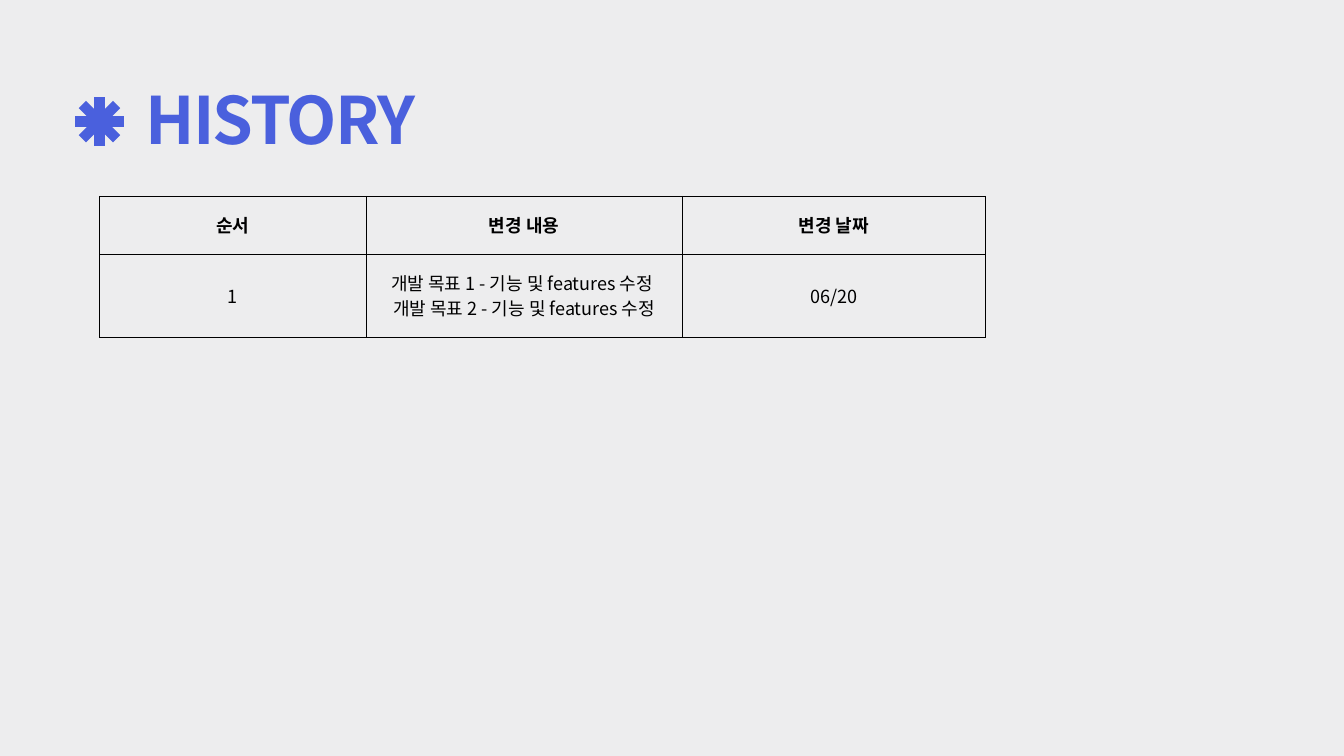
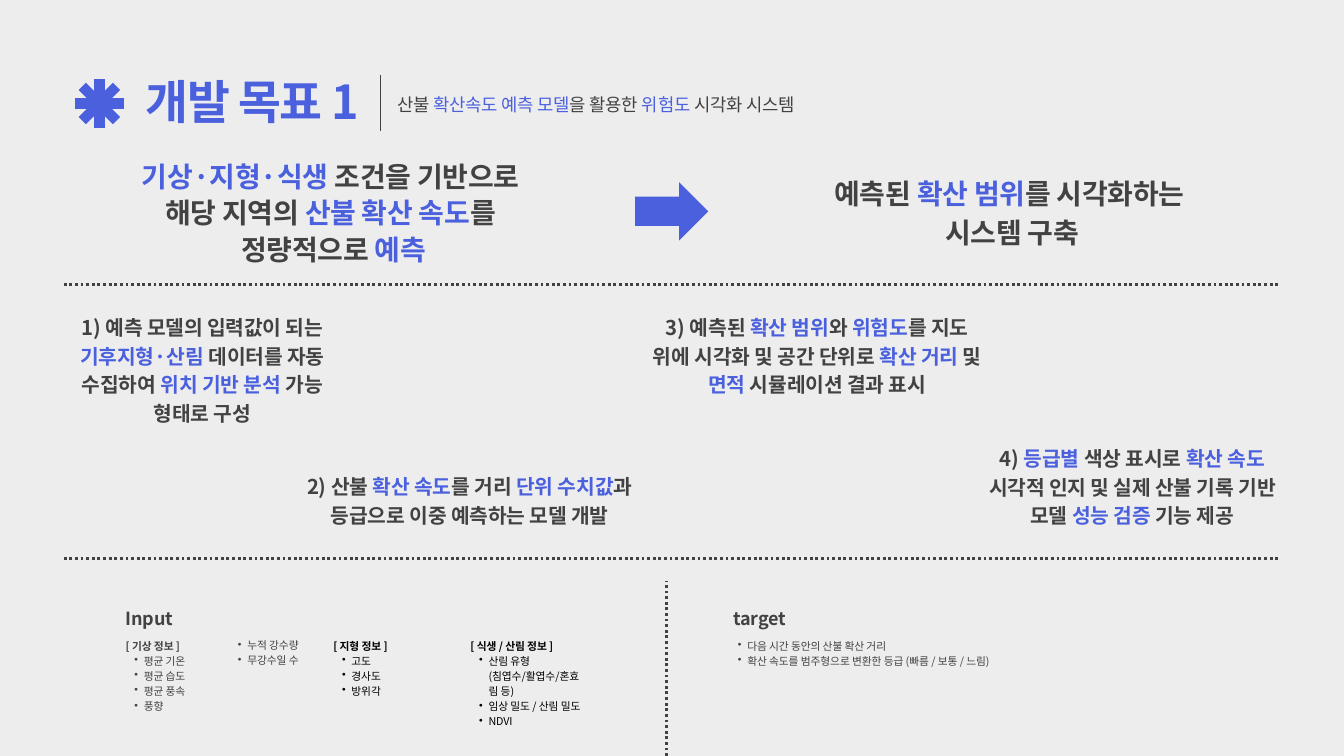
"""Build the history and first development goal slides."""
from dataclasses import dataclass, replace
from math import cos, pi, sin

from lxml.etree import SubElement
from pptx import Presentation
from pptx.dml.color import RGBColor
from pptx.enum.dml import MSO_LINE
from pptx.enum.shapes import MSO_CONNECTOR, MSO_SHAPE
from pptx.enum.text import MSO_ANCHOR, MSO_AUTO_SIZE, PP_ALIGN as Align
from pptx.oxml.ns import qn
from pptx.slide import Slide
from pptx.table import _Cell as Cell
from pptx.text.text import TextFrame, _Paragraph as Paragraph
from pptx.util import Inches, Pt

FONT = "Noto Sans CJK KR"
BLUE = RGBColor(0x4A, 0x60, 0xDD)
GRAY = RGBColor(0x42, 0x42, 0x42)
BLACK = RGBColor(0, 0, 0)
PAPER = RGBColor(0xED, 0xED, 0xEE)

SLIDE_W, SLIDE_H = 20, 11.25
MARGIN = 0.95
LIST_TOP = 9.49


@dataclass(frozen=True)
class Style:
    size: float
    leading: float
    tracking: float = 0
    color: RGBColor = GRAY
    bold: bool = True
    align: Align = Align.CENTER


@dataclass(frozen=True)
class TextBox:
    left: float
    top: float
    width: float
    height: float
    lines: tuple[str, ...]
    style: Style


@dataclass(frozen=True)
class BulletList:
    left: float
    top: float
    width: float
    height: float
    items: tuple[str, ...]
    heading: str = ""
    color: RGBColor = GRAY
    align: Align = Align.LEFT


TITLE_BIG = Style(70, 70, -2.1, BLUE, align=Align.LEFT)
TITLE = Style(50, 50, -1.5, BLUE, align=Align.LEFT)
SUBTITLE = Style(19, 26.6, -0.2, bold=False, align=Align.LEFT)
GOAL = Style(30, 39, -0.3)
RESULT = replace(GOAL, leading=42)
STEP = Style(21.8, 30.6, -0.2)
LABEL = Style(19.3, 25.1, -0.2)
LIST = Style(11.5, 16.1, -0.1, bold=False)
HEADER_CELL = Style(19.3, 27, color=BLACK)
BODY_CELL = replace(HEADER_CELL, bold=False)

HISTORY_COLS = (3.97, 4.7, 4.52)
HISTORY_ROWS = (0.86, 1.24)
HISTORY = (
    (("순서",), ("변경 내용",), ("변경 날짜",)),
    (
        ("1",),
        ("개발 목표 1 - 기능 및 features 수정 ", "개발 목표 2 - 기능 및 features 수정"),
        ("06/20",),
    ),
)

GOAL_TEXTS = (
    TextBox(5.91, 1.35, 8.01, 0.34,
            ("산불 |확산속도 예측 모델|을 활용한| 위험도 |시각화 시스템",), SUBTITLE),
    TextBox(1.57, 2.33, 6.79, 1.61,
            ("|기상·지형·식생| 조건을 기반으로 ",
             "해당 지역의 |산불 확산 속도|를 ",
             "정량적으로 |예측"), GOAL),
    TextBox(11.64, 2.54, 6.85, 1.15,
            ("예측된 |확산 범위|를 시각화하는 ", "시스템 구축"), RESULT),
    TextBox(0.81, 4.63, 4.4, 1.24,
            ("1) 예측 모델의 입력값이 되는 |기후지형·산림| 데이터를 자동 수집하여 "
             "|위치 기반 분석| 가능 형태로 구성",), STEP),
    TextBox(4.44, 7, 5.1, 0.82,
            ("2) 산불 |확산 속도|를 거리 |단위 수치값|과 등급으로 이중 예측하는 "
             "모델 개발",), STEP),
    TextBox(9.67, 4.63, 4.98, 1.24,
            ("3) 예측된 |확산 범위|와 |위험도|를 지도 위에 시각화 및 공간 단위로 "
             "|확산 거리 |및 |면적 |시뮬레이션 결과 표시",), STEP),
    TextBox(14.65, 6.58, 4.4, 1.24,
            ("4) |등급별 |색상 표시로 |확산 속도 |시각적 인지 및 실제 산불 기록 기반 "
             "모델 |성능 검증| 기능 제공",), STEP),
    TextBox(1.77, 9.02, 0.91, 0.34, ("Input",), LABEL),
    TextBox(10.85, 9.02, 0.91, 0.34, ("target",), LABEL),
)

GOAL_LISTS = (
    BulletList(1.87, LIST_TOP, 1.21, 1.98,
               ("평균 기온", "평균 습도", "평균 풍속", "풍향"),
               "[ 기상 정보 ]", align=Align.JUSTIFY),
    BulletList(3.41, LIST_TOP - 0.01, 1.21, 1.1,
               ("누적 강수량", "무강수일 수"), align=Align.JUSTIFY),
    BulletList(4.96, LIST_TOP, 1.39, 0.87,
               ("고도", "경사도", "방위각"), "[ 지형 정보 ]", BLACK),
    BulletList(7, LIST_TOP, 1.72, 1.09,
               ("산림 유형 (침엽수/활엽수/혼효림 등)", "임상 밀도 / 산림 밀도", "NDVI"),
               "[ 식생 / 산림 정보 ]", BLACK),
    BulletList(10.85, LIST_TOP, 4.11, 0.44,
               ("다음 시간 동안의 산불 확산 거리",
                "확산 속도를 범주형으로 변환한 등급 (빠름 / 보통 / 느림)")),
)


def write_paragraph(p: Paragraph, text: str, style: Style) -> None:
    """Write text whose every second part between bars is in the accent colour."""
    p.alignment = style.align
    p.line_spacing = Pt(style.leading)
    for i, part in enumerate(text.split("|")):
        if not part:
            continue
        r = p.add_run()
        r.text = part
        r.font.size = Pt(style.size)
        r.font.bold = style.bold
        r.font.name = FONT
        r.font.color.rgb = BLUE if i % 2 else style.color
        rpr = r.font._element
        rpr.set("spc", str(round(style.tracking * 100)))
        SubElement(rpr, qn("a:ea")).set("typeface", FONT)


def write_lines(tf: TextFrame, lines: tuple[str, ...], style: Style) -> None:
    """Write one paragraph for each line."""
    for i, line in enumerate(lines):
        p = tf.add_paragraph() if i else tf.paragraphs[0]
        write_paragraph(p, line, style)


def prepare_frame(tf: TextFrame) -> None:
    """Make a text frame wrap from its top left corner without insets."""
    tf.word_wrap = True
    tf.auto_size = MSO_AUTO_SIZE.NONE
    tf.vertical_anchor = MSO_ANCHOR.TOP
    tf.margin_left = tf.margin_top = tf.margin_right = tf.margin_bottom = 0


def add_frame(s: Slide, box: TextBox | BulletList) -> TextFrame:
    """Add an empty text box at the place of the given element."""
    sp = s.shapes.add_textbox(Inches(box.left), Inches(box.top),
                              Inches(box.width), Inches(box.height))
    prepare_frame(sp.text_frame)
    return sp.text_frame


def add_bullet_list(s: Slide, block: BulletList) -> None:
    """Add a bulleted list under an optional bold heading."""
    tf = add_frame(s, block)
    style = replace(LIST, color=block.color, align=block.align)
    p = tf.paragraphs[0]
    if block.heading:
        write_paragraph(p, block.heading, replace(style, bold=True))
    for i, item in enumerate(block.items):
        if i or block.heading:
            p = tf.add_paragraph()
        write_paragraph(p, item, style)
        p.level = 1
        ppr = p._p.get_or_add_pPr()
        ppr.set("marL", str(Inches(0.27)))
        ppr.set("indent", str(Inches(-0.14)))
        SubElement(ppr, qn("a:buChar")).set("char", "•")


def add_line(shapes, start: tuple[float, float], end: tuple[float, float],
             color: RGBColor, width: float, dotted: bool = False) -> None:
    """Add a straight line without a shadow."""
    cx = shapes.add_connector(MSO_CONNECTOR.STRAIGHT,
                              *(Inches(v) for v in (*start, *end)))
    cx.line.color.rgb = color
    cx.line.width = Pt(width)
    if dotted:
        cx.line.dash_style = MSO_LINE.ROUND_DOT
    SubElement(cx._element.spPr, qn("a:effectLst"))


def add_asterisk(s: Slide, x: float, y: float, radius: float = 0.36) -> None:
    """Add the grouped eight-pointed title mark around a centre."""
    group = s.shapes.add_group_shape()
    for k in range(4):
        dx, dy = radius * cos(k * pi / 4), radius * sin(k * pi / 4)
        add_line(group.shapes, (x - dx, y - dy), (x + dx, y + dy), BLUE, 11)


def add_titled_slide(prs: Presentation, title: str, style: Style, top: float,
                     height: float, mark_y: float) -> Slide:
    """Add a slide with its title and title mark."""
    s = prs.slides.add_slide(prs.slide_layouts[5])
    sp = s.shapes.title
    sp.left, sp.top = Inches(2.17), Inches(top)
    sp.width, sp.height = Inches(6.56), Inches(height)
    prepare_frame(sp.text_frame)
    write_lines(sp.text_frame, (title,), style)
    add_asterisk(s, 1.48, mark_y)
    return s


def format_cell(cell: Cell, lines: tuple[str, ...], style: Style) -> None:
    """Fill a table cell and draw its four borders."""
    cell.vertical_anchor = MSO_ANCHOR.MIDDLE
    cell.margin_left = cell.margin_right = Inches(0.21)
    cell.margin_top = cell.margin_bottom = Inches(0.21)
    write_lines(cell.text_frame, lines, style)
    tcpr = cell._tc.get_or_add_tcPr()
    for side in ("a:lnL", "a:lnR", "a:lnT", "a:lnB"):
        ln = SubElement(tcpr, qn(side), w=str(Pt(0.75)))
        fill = SubElement(ln, qn("a:solidFill"))
        SubElement(fill, qn("a:srgbClr")).set("val", str(BLACK))
    cell.fill.background()


def build_history(prs: Presentation) -> None:
    """Build the change history slide."""
    s = add_titled_slide(prs, "HISTORY", TITLE_BIG, 1.37, 1.02, 1.81)
    table = s.shapes.add_table(
        len(HISTORY_ROWS), len(HISTORY_COLS), Inches(1.48), Inches(2.92),
        Inches(sum(HISTORY_COLS)), Inches(sum(HISTORY_ROWS))).table
    table.first_row = table.horz_banding = False
    for col, width in zip(table.columns, HISTORY_COLS):
        col.width = Inches(width)
    for i, (row, height) in enumerate(zip(table.rows, HISTORY_ROWS)):
        row.height = Inches(height)
        for cell, lines in zip(row.cells, HISTORY[i]):
            format_cell(cell, lines, BODY_CELL if i else HEADER_CELL)


def build_goal(prs: Presentation) -> None:
    """Build the first development goal slide."""
    s = add_titled_slide(prs, "개발 목표 1", TITLE, 1.22, 0.73, 1.54)
    add_line(s.shapes, (5.66, 1.12), (5.66, 1.95), GRAY, 0.75)
    for y in (4.23, 8.31):
        add_line(s.shapes, (MARGIN, y), (SLIDE_W - MARGIN, y), GRAY, 3, True)
    add_line(s.shapes, (9.92, SLIDE_H), (9.92, 8.64), GRAY, 3, True)
    for box in GOAL_TEXTS:
        write_lines(add_frame(s, box), box.lines, box.style)
    for block in GOAL_LISTS:
        add_bullet_list(s, block)
    arrow = s.shapes.add_shape(MSO_SHAPE.RIGHT_ARROW, Inches(9.45), Inches(2.71),
                               Inches(1.09), Inches(0.87))
    arrow.shadow.inherit = False
    arrow.fill.solid()
    arrow.fill.fore_color.rgb = BLUE
    arrow.line.fill.background()


def main() -> None:
    """Build and save the presentation."""
    prs = Presentation()
    prs.slide_width, prs.slide_height = Inches(SLIDE_W), Inches(SLIDE_H)
    fill = prs.slide_master.background.fill
    fill.solid()
    fill.fore_color.rgb = PAPER
    build_history(prs)
    build_goal(prs)
    prs.save("out.pptx")


if __name__ == "__main__":
    main()
